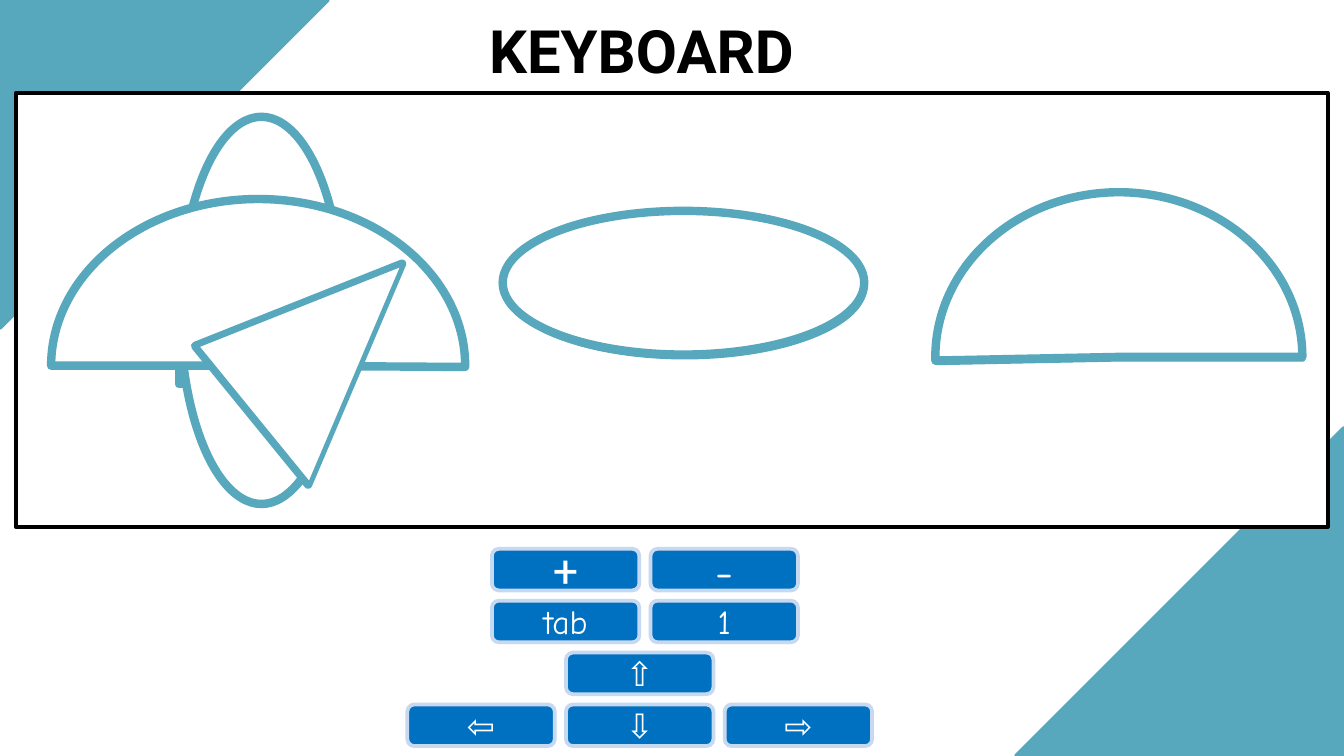
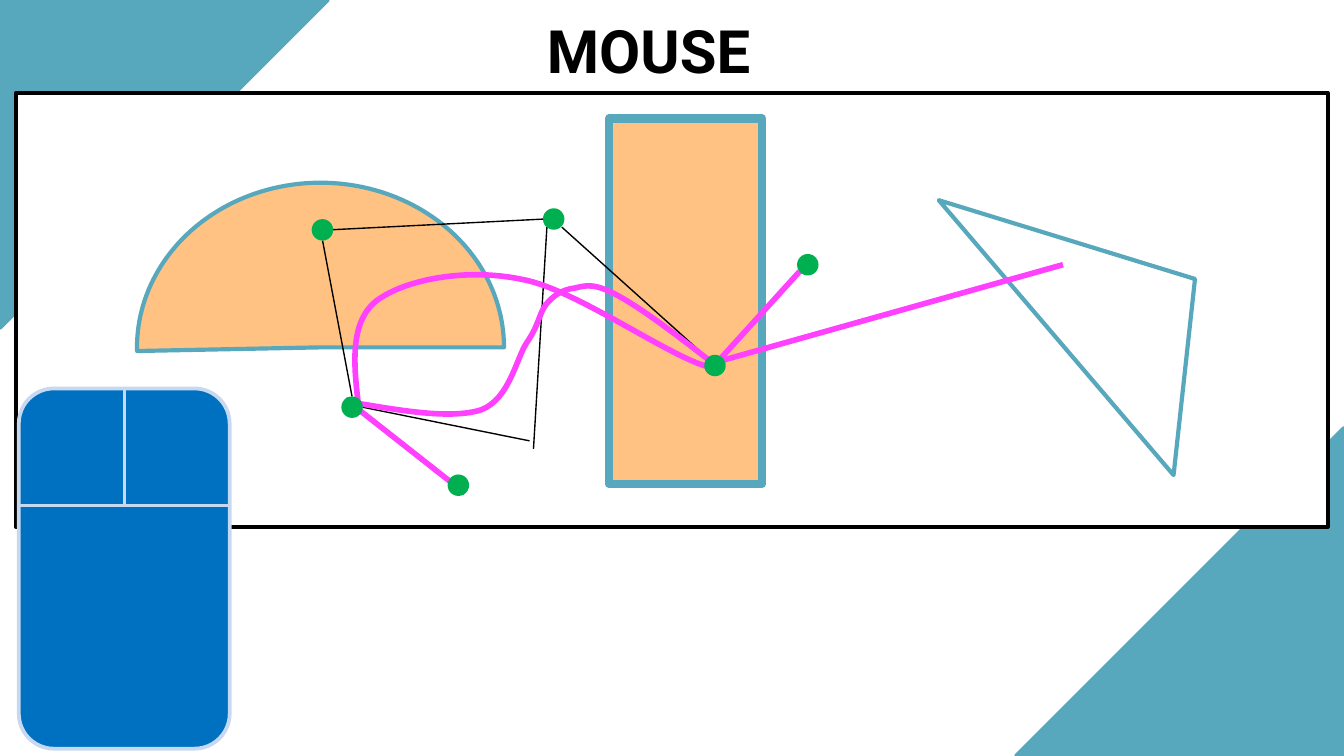
"""Build two practice slides, one for the keyboard and one for the mouse."""
from dataclasses import dataclass
from typing import Optional

from pptx import Presentation
from pptx.dml.color import RGBColor
from pptx.enum.shapes import MSO_CONNECTOR as Connector, MSO_SHAPE as Shape
from pptx.enum.text import MSO_ANCHOR as Anchor, MSO_AUTO_SIZE as AutoSize, PP_ALIGN as Align
from pptx.oxml import parse_xml
from pptx.oxml.ns import nsdecls, qn
from pptx.oxml.xmlchemy import OxmlElement
from pptx.util import Pt

TEAL = RGBColor(0x57, 0xA7, 0xBD)
BLUE = RGBColor(0x00, 0x70, 0xC0)
PALE_BLUE = RGBColor(0xC6, 0xD9, 0xF1)
PEACH = RGBColor(0xFF, 0xC2, 0x82)
PINK = RGBColor(0xFF, 0x40, 0xFF)
GREEN = RGBColor(0x00, 0xB0, 0x50)
BLACK = RGBColor(0, 0, 0)
WHITE = RGBColor(0xFF, 0xFF, 0xFF)
TITLE_OUTLINE = RGBColor(0xF2, 0xF2, 0xF2)

SLIDE_WIDTH, SLIDE_HEIGHT = 720, 405
CORNER_SIZE = 175.7
KEY_WIDTH, KEY_HEIGHT = 79, 22.3
KEY_PITCH, KEY_ROW_PITCH, KEY_TOP = 85, 27.8, 294
DOT_SIZE = 11.5
HALF_DISC = (53.313, 162)


@dataclass(frozen=True)
class Figure:
    """A preset shape with its frame in points and its format."""
    kind: Shape
    left: float
    top: float
    width: float
    height: float
    line_width: float = 4.5
    fill: RGBColor = WHITE
    line: Optional[RGBColor] = TEAL
    rotation: float = 0
    adjustments: tuple[float, ...] = ()


@dataclass(frozen=True)
class Key:
    """A keyboard key label with its font."""
    label: str
    font: str = "Arial"
    size: float = 18


@dataclass(frozen=True)
class KeyRow:
    """A row of keys starting at a left edge."""
    left: float
    keys: tuple[Key, ...]


@dataclass(frozen=True)
class Segment:
    """A straight line between two points."""
    start: tuple[float, float]
    end: tuple[float, float]
    color: RGBColor = BLACK
    width: float = 0.75


CORNERS = (
    Figure(Shape.ISOSCELES_TRIANGLE, SLIDE_WIDTH - CORNER_SIZE, SLIDE_HEIGHT - CORNER_SIZE,
           CORNER_SIZE, CORNER_SIZE, 2, TEAL, adjustments=(1,)),
    Figure(Shape.ISOSCELES_TRIANGLE, 0, 0, CORNER_SIZE, CORNER_SIZE, 2, TEAL,
           rotation=180, adjustments=(1,)),
)
PANEL = Figure(Shape.RECTANGLE, 8.6, 49.7, 702.7, 232.6, 2, line=BLACK)

KEY_ROWS = (
    KeyRow(263.5, (Key("+", "Roboto", 24), Key("-", "Comic Neue", 24))),
    KeyRow(263.5, (Key("tab", "Comic Neue"), Key("1", "Comic Neue"))),
    KeyRow(303.2, (Key("⇧"),)),
    KeyRow(218.2, (Key("⇦"), Key("⇩"), Key("⇨"))),
)
KEYBOARD_FIGURES = (
    Figure(Shape.RECTANGLE, 95.8, 127.4, 46.1, 78.5),
    Figure(Shape.OVAL, 270, 114.5, 193.7, 77, 2.25),
    Figure(Shape.OVAL, 96.5, 62.6, 87.1, 207.4),
    Figure(Shape.PIE, 27.4, 106.6, 221.8, 178.6, rotation=180, adjustments=(0, 108.207)),
    Figure(Shape.ISOSCELES_TRIANGLE, 131, 129.6, 95.8, 113.8, rotation=50.8, adjustments=(0.375,)),
    Figure(Shape.ISOSCELES_TRIANGLE, 131.8, 129.6, 95.8, 113.8, 2.25, rotation=50.8,
           adjustments=(0.375,)),
    Figure(Shape.OVAL, 269.3, 113, 193.7, 77),
    Figure(Shape.PIE, 510.5, 94.3, 178.6, 196.6, 2.25, rotation=90, adjustments=HALF_DISC),
    Figure(Shape.PIE, 511.2, 92.9, 176.4, 196.6, rotation=90, adjustments=HALF_DISC),
)

MOUSE_BODY = Figure(Shape.ROUNDED_RECTANGLE, 10.1, 208.1, 113, 193, 2, BLUE, PALE_BLUE)
MOUSE_SEAM_TOP = 270.7
LEFT_BUTTON = ((12.2, 225.4), (12.2, 269.3), (64.8, 268.6), (64.8, 210.2),
               (27.4, 209.5), (18.7, 213.1), (14.4, 218.2))
MOUSE_FIGURES = (
    Figure(Shape.RECTANGLE, 326.2, 63.4, 82.1, 195.8, fill=PEACH),
    Figure(Shape.ISOSCELES_TRIANGLE, 498.2, 117.4, 193.7, 77, 2.25, rotation=49.5,
           adjustments=(0.626,)),
    Figure(Shape.PIE, 83.5, 87.8, 176.4, 196.6, 2.25, PEACH, rotation=90, adjustments=HALF_DISC),
)
TRAILS = (
    Segment((249.1, 264.2), (185, 213.8), PINK, 3),
    Segment((188.6, 212.4), (172.8, 128.9)),
    Segment((177.8, 123.1), (290.9, 117.4)),
    Segment((301, 121.7), (378.7, 191.5)),
    Segment((386.6, 191.5), (428.4, 145.4), PINK, 3),
    Segment((377.3, 195.8), (569.5, 141.8), PINK, 3),
    Segment((285.8, 240.5), (293, 121.7)),
    Segment((283.7, 236.2), (194.4, 218.2)),
)
CURVES = (
    ((192.2, 218.2), (189.4, 195.8), (187.2, 172.8), (201.6, 161.3), (216.7, 149.8),
     (249.8, 143.3), (280.1, 149.8), (310.3, 155.5), (363.6, 195.1), (383, 197.3)),
    ((190.8, 216), (216.7, 220.3), (241.9, 224.6), (257.8, 219.6), (272.9, 213.8),
     (276.5, 192.2), (282.2, 183.6), (288.7, 174.2), (288.7, 168.5), (292.3, 163.4),
     (295.9, 159.1), (299.5, 156.2), (305.3, 154.8), (311.8, 154.1), (315.4, 150.5),
     (328.3, 157), (341.3, 163.4), (361.4, 178.6), (381.6, 194.4)),
)
DOTS = ((239.8, 254.2), (427, 136.1), (290.9, 111.6), (377.3, 190.1),
        (182.9, 212.4), (167, 117.4))


def write_text(shape, text: str, *, font: str, size: float, color: RGBColor, bold: bool = False,
               align: Align = Align.CENTER, anchor: Anchor = Anchor.MIDDLE,
               space_after: float = 0):
    """Write one formatted paragraph into a shape and return its run."""
    frame = shape.text_frame
    frame.word_wrap = True
    frame.vertical_anchor = anchor
    paragraph = frame.paragraphs[0]
    paragraph.alignment = align
    paragraph.space_after = Pt(space_after)
    run = paragraph.add_run()
    run.text = text
    run.font.name, run.font.size, run.font.bold = font, Pt(size), bold
    run.font.color.rgb = color
    return run


def style_shape(shape, fill: Optional[RGBColor], line: Optional[RGBColor],
                width: float = 0) -> None:
    """Set fill and line of a shape, where None means neither is drawn."""
    shape.shadow.inherit = False
    if fill is None:
        shape.fill.background()
    else:
        shape.fill.solid()
        shape.fill.fore_color.rgb = fill
    if line is None:
        shape.line.fill.background()
    else:
        shape.line.color.rgb = line
        shape.line.width = Pt(width)


def draw_figure(slide, figure: Figure):
    """Draw a preset shape."""
    shape = slide.shapes.add_shape(figure.kind, Pt(figure.left), Pt(figure.top),
                                   Pt(figure.width), Pt(figure.height))
    shape.rotation = figure.rotation
    for index, value in enumerate(figure.adjustments):
        shape.adjustments[index] = value
    style_shape(shape, figure.fill, figure.line, figure.line_width)
    return shape


def draw_segment(slide, segment: Segment):
    """Draw a straight connector."""
    connector = slide.shapes.add_connector(
        Connector.STRAIGHT, *(Pt(value) for value in segment.start + segment.end))
    connector.line.color.rgb = segment.color
    connector.line.width = Pt(segment.width)
    connector._element.spPr.append(OxmlElement("a:effectLst"))
    return connector


def draw_outline(slide, points: tuple, close: bool):
    """Draw a freeform through points."""
    start, *others = [(Pt(x), Pt(y)) for x, y in points]
    builder = slide.shapes.build_freeform(*start)
    builder.add_line_segments(others, close=close)
    return builder.convert_to_shape()


def draw_curve(slide, points: tuple) -> None:
    """Draw a pink curve, each three points after the first being one cubic segment."""
    shape = draw_outline(slide, points, close=False)
    steps = shape._element.findall(".//" + qn("a:lnTo"))
    for index in range(0, len(steps), 3):
        cubic = OxmlElement("a:cubicBezTo")
        steps[index].addprevious(cubic)
        for step in steps[index:index + 3]:
            cubic.append(step[0])
            step.getparent().remove(step)
    style_shape(shape, None, PINK, 3)


def add_practice_slide(presentation, title: str, left: float, width: float):
    """Add a slide with its title, corners and panel."""
    slide = presentation.slides.add_slide(presentation.slide_layouts[5])
    slide.background.fill.solid()
    slide.background.fill.fore_color.rgb = WHITE
    heading = slide.shapes.title
    heading.left, heading.top, heading.width, heading.height = (
        Pt(left), Pt(3.6), Pt(width), Pt(46.1))
    run = write_text(heading, title, font="Roboto", size=32, color=BLACK, bold=True,
                     align=Align.LEFT, anchor=Anchor.TOP, space_after=8)
    heading.text_frame.auto_size = AutoSize.SHAPE_TO_FIT_TEXT
    run.font._element.insert(0, parse_xml(
        f'<a:ln {nsdecls("a")} w="{Pt(0.75)}"><a:solidFill>'
        f'<a:srgbClr val="{TITLE_OUTLINE}"/></a:solidFill></a:ln>'))
    for figure in (*CORNERS, PANEL):
        draw_figure(slide, figure)
    return slide


def build_keyboard_slide(presentation) -> None:
    """Build the slide with the keys and outlined figures."""
    slide = add_practice_slide(presentation, "KEYBOARD", 254.9, 209.5)
    for row_index, row in enumerate(KEY_ROWS):
        for column, key in enumerate(row.keys):
            shape = draw_figure(slide, Figure(
                Shape.ROUNDED_RECTANGLE, row.left + column * KEY_PITCH,
                KEY_TOP + row_index * KEY_ROW_PITCH, KEY_WIDTH, KEY_HEIGHT, 2, BLUE, PALE_BLUE))
            write_text(shape, key.label, font=key.font, size=key.size, color=WHITE)
    for figure in KEYBOARD_FIGURES:
        draw_figure(slide, figure)


def draw_mouse(slide) -> None:
    """Draw the mouse with its seams and left button."""
    body = draw_figure(slide, MOUSE_BODY)
    right = MOUSE_BODY.left + MOUSE_BODY.width
    middle = MOUSE_BODY.left + MOUSE_BODY.width / 2
    draw_segment(slide, Segment((MOUSE_BODY.left, MOUSE_SEAM_TOP), (right, MOUSE_SEAM_TOP),
                                PALE_BLUE, 1.5))
    style_shape(draw_outline(slide, LEFT_BUTTON, close=True), BLUE, None)
    divider = draw_segment(slide, Segment((middle, MOUSE_BODY.top), (middle, MOUSE_SEAM_TOP),
                                          PALE_BLUE, 1.5))
    divider.begin_connect(body, 0)


def build_mouse_slide(presentation) -> None:
    """Build the slide with the mouse, figures and trails."""
    slide = add_practice_slide(presentation, "MOUSE", 285.8, 149)
    draw_mouse(slide)
    for figure in MOUSE_FIGURES:
        draw_figure(slide, figure)
    for trail in TRAILS:
        draw_segment(slide, trail)
    for points in CURVES:
        draw_curve(slide, points)
    for left, top in DOTS:
        draw_figure(slide, Figure(Shape.OVAL, left, top, DOT_SIZE, DOT_SIZE,
                                  fill=GREEN, line=None))


def main() -> None:
    """Build and save the presentation."""
    presentation = Presentation()
    presentation.slide_width, presentation.slide_height = Pt(SLIDE_WIDTH), Pt(SLIDE_HEIGHT)
    build_keyboard_slide(presentation)
    build_mouse_slide(presentation)
    presentation.save("out.pptx")


if __name__ == "__main__":
    main()
